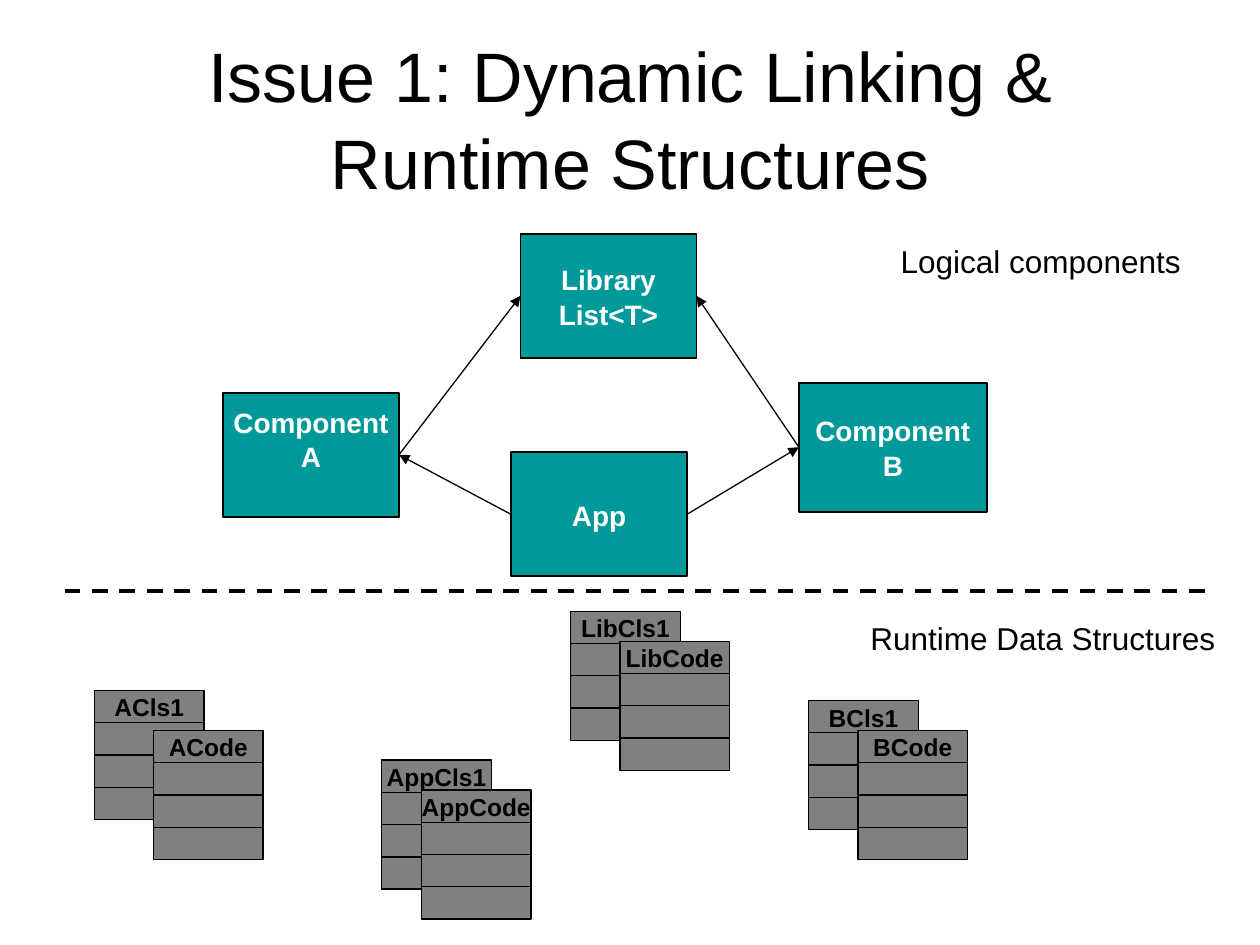
from dataclasses import dataclass

from lxml.etree import SubElement
from pptx import Presentation
from pptx.dml.color import RGBColor
from pptx.enum.dml import MSO_LINE
from pptx.enum.shapes import MSO_CONNECTOR, MSO_SHAPE
from pptx.enum.text import MSO_ANCHOR, MSO_AUTO_SIZE, PP_ALIGN
from pptx.oxml.ns import qn
from pptx.util import Pt

COLORS = {"ink": "000000", "component": "009999", "label": "FFFFFF", "record": "808080"}
TITLE = {"name": "Arial", "size": Pt(40), "bold": False}
COMPONENT = {"name": "Arial", "size": Pt(16), "bold": True}
RECORD = {"name": "Arial", "size": Pt(14), "bold": True}
CAPTION = {"name": "Arial", "size": Pt(18), "bold": False}
LEFT, RIGHT = 1, 3
ROWS, ROW_W, ROW_H = 4, 62.6, 18.45


@dataclass
class Component:
    lines: list[str]
    x: float
    y: float
    w: float = 100.6
    h: float = 70.8
    bottom: float = 3.6


@dataclass
class Link:
    start: str
    start_site: int
    end: str
    end_site: int


@dataclass
class Record:
    name: str
    x: float
    y: float


@dataclass
class Caption:
    text: str
    x: float
    y: float
    w: float
    h: float = 29


COMPONENTS = {
    "library": Component(["Library", "List<T>"], 297.4, 133.7),
    "a": Component(["Component", "A"], 127.4, 224.5, bottom=22),
    "b": Component(["Component", "B"], 456.5, 218.7, 107.5, 73.7),
    "app": Component(["App"], 292, 258.5),
}
LINKS = [
    Link("app", LEFT, "a", RIGHT),
    Link("a", RIGHT, "library", LEFT),
    Link("app", RIGHT, "b", LEFT),
    Link("b", LEFT, "library", RIGHT),
]
RECORDS = [
    Record("AppCls1", 218.2, 434.3),
    Record("AppCode", 240.9, 451.4),
    Record("ACls1", 54, 394.5),
    Record("ACode", 87.8, 417.4),
    Record("BCls1", 462.2, 400.3),
    Record("BCode", 490.3, 417.4),
    Record("LibCls1", 326.2, 349.3),
    Record("LibCode", 354.3, 366.4),
]
CAPTIONS = [
    Caption("Runtime Data Structures", 490.3, 349.2, 211),
    Caption("Logical components", 507.5, 133.9, 174.2),
]


def rgb(name: str) -> RGBColor:
    return RGBColor.from_string(COLORS[name])


def write(sp, lines: list[str], font: dict, color: str, align, wrap: bool = False,
          bottom: float = 3.6, anchor=MSO_ANCHOR.MIDDLE) -> None:
    tf = sp.text_frame
    frame = {"auto_size": MSO_AUTO_SIZE.NONE, "word_wrap": wrap, "vertical_anchor": anchor,
             "margin_left": Pt(7.2), "margin_right": Pt(7.2),
             "margin_top": Pt(3.6), "margin_bottom": Pt(bottom)}
    for key, value in frame.items():
        setattr(tf, key, value)
    for i, line in enumerate(lines):
        p = tf.add_paragraph() if i else tf.paragraphs[0]
        p.alignment, p.line_spacing = align, 1.04
        r = p.add_run()
        r.text = line
        for key, value in font.items():
            setattr(r.font, key, value)
        r.font.color.rgb = rgb(color)


def add_box(shapes, kind, x: float, y: float, w: float, h: float, fill: str, line: float):
    sp = shapes.add_shape(kind, Pt(x), Pt(y), Pt(w), Pt(h))
    sp.shadow.inherit = False
    sp.fill.solid()
    sp.fill.fore_color.rgb = rgb(fill)
    sp.line.color.rgb = rgb("ink")
    sp.line.width = Pt(line)
    return sp


def add_component(s, c: Component):
    sp = add_box(s.shapes, MSO_SHAPE.ROUNDED_RECTANGLE, c.x, c.y, c.w, c.h, "component", 1)
    sp.adjustments[0] = 0
    write(sp, c.lines, COMPONENT, "label", PP_ALIGN.CENTER, bottom=c.bottom)
    return sp


def add_line(s, x1: float, y1: float, x2: float, y2: float, width: float):
    cn = s.shapes.add_connector(MSO_CONNECTOR.STRAIGHT, Pt(x1), Pt(y1), Pt(x2), Pt(y2))
    cn.line.color.rgb = rgb("ink")
    cn.line.width = Pt(width)
    SubElement(cn._element.spPr, qn("a:effectLst"))
    return cn


def add_link(s, link: Link, boxes: dict) -> None:
    cn = add_line(s, 0, 0, 0, 0, 0.75)
    cn.begin_connect(boxes[link.start], link.start_site)
    cn.end_connect(boxes[link.end], link.end_site)
    SubElement(cn.line._get_or_add_ln(), qn("a:tailEnd"), type="triangle")


def add_record(s, rec: Record) -> None:
    group = s.shapes.add_group_shape()
    for i in range(ROWS):
        sp = add_box(group.shapes, MSO_SHAPE.RECTANGLE, rec.x, rec.y + i * ROW_H,
                     ROW_W, ROW_H, "record", 0.75)
        if i == 0:
            write(sp, [rec.name], RECORD, "ink", PP_ALIGN.CENTER)


def add_caption(s, c: Caption) -> None:
    sp = s.shapes.add_textbox(Pt(c.x), Pt(c.y), Pt(c.w), Pt(c.h))
    write(sp, [c.text], CAPTION, "ink", PP_ALIGN.LEFT, anchor=MSO_ANCHOR.TOP)


def add_title(s, text: str) -> None:
    sp = s.shapes.title
    place = {"left": Pt(36), "top": Pt(21.6), "width": Pt(648), "height": Pt(90)}
    for key, value in place.items():
        setattr(sp, key, value)
    write(sp, [text], TITLE, "ink", PP_ALIGN.CENTER, wrap=True)


def main() -> None:
    prs = Presentation()
    prs.slide_width, prs.slide_height = Pt(720), Pt(540)
    s = prs.slides.add_slide(prs.slide_layouts[5])
    add_title(s, "Issue 1: Dynamic Linking & Runtime Structures")
    divider = add_line(s, 36.9, 337.9, 694.8, 337.9, 2.25)
    divider.line.dash_style = MSO_LINE.DASH
    boxes = {name: add_component(s, c) for name, c in COMPONENTS.items()}
    for link in LINKS:
        add_link(s, link, boxes)
    for rec in RECORDS:
        add_record(s, rec)
    for caption in CAPTIONS:
        add_caption(s, caption)
    prs.save("out.pptx")


if __name__ == "__main__":
    main()
